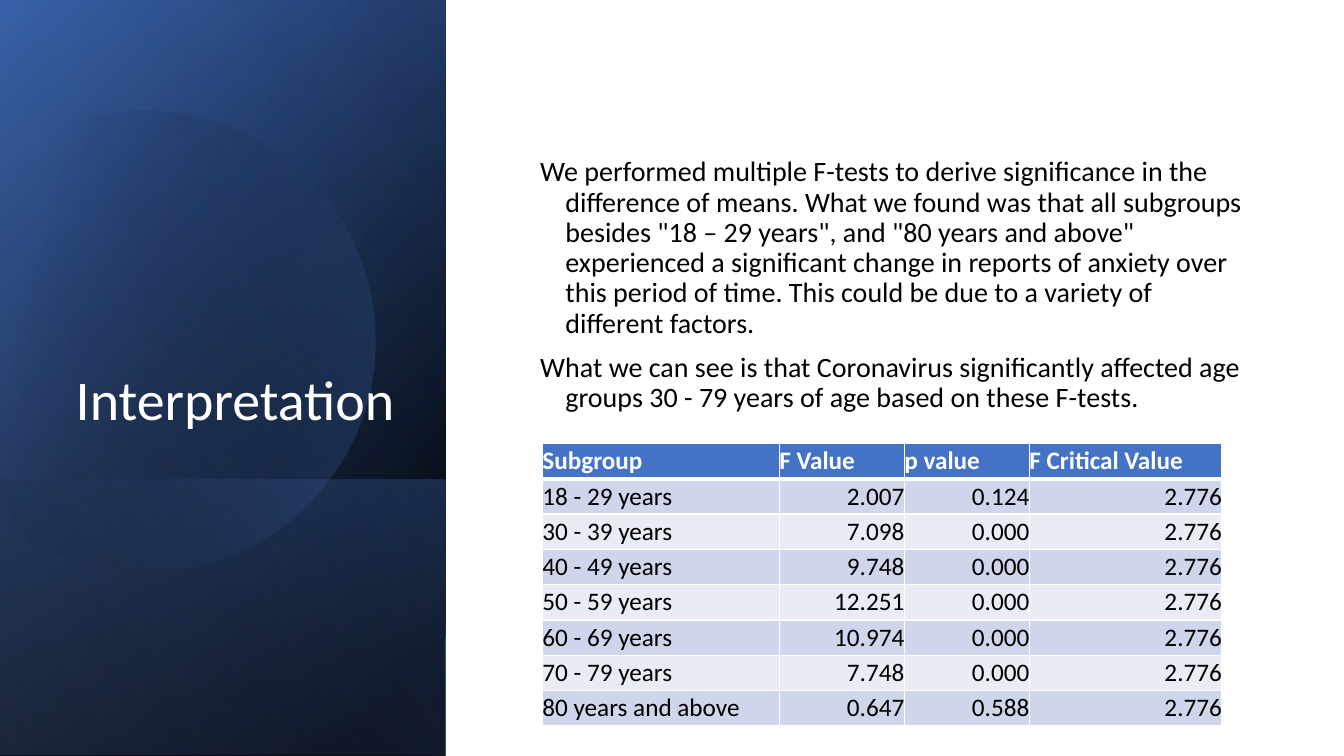
from dataclasses import dataclass
from math import cos, radians, sin

from lxml import etree
from pptx import Presentation
from pptx import util as u
from pptx.dml.color import RGBColor
from pptx.enum import shapes, text
from pptx.oxml.ns import qn

PX = 9144
FONT = "Calibri"
WHITE = RGBColor(0xFF, 0xFF, 0xFF)
BLACK = RGBColor(0, 0, 0)
DEEP_BLUE = RGBColor(0x2F, 0x55, 0x97)
BLUE = RGBColor(0x44, 0x72, 0xC4)
PALE_BLUE = RGBColor(0x8F, 0xAA, 0xDC)
BAND_DARK = RGBColor(0xCF, 0xD5, 0xEA)
BAND_LIGHT = RGBColor(0xE9, 0xEB, 0xF5)


@dataclass
class Stop:
    position: int
    color: RGBColor
    opacity: int = 100


@dataclass
class Gradient:
    start: Stop
    end: Stop
    angle: int


@dataclass
class Panel:
    left: int
    top: int
    width: int
    height: int
    gradient: Gradient


@dataclass
class Style:
    size: int
    color: RGBColor
    bold: bool = False


BACK_PANELS = [
    Panel(-154, 154, 750, 442, Gradient(Stop(8, BLACK), Stop(100, DEEP_BLUE), 50)),
    Panel(-154, 155, 750, 442, Gradient(Stop(0, BLACK, 0), Stop(99, BLUE, 46), 30)),
    Panel(84, 392, 274, 442, Gradient(Stop(2, BLUE, 29), Stop(100, BLACK, 30), 130)),
]
GLOW_PANEL = Panel(-154, 153, 750, 442,
                   Gradient(Stop(0, BLACK, 0), Stop(99, PALE_BLUE, 11), 120))

DISC_GRADIENT = Gradient(Stop(29, BLACK, 0), Stop(100, BLUE, 43), 30)
DISC_CENTER = (158, 334)
DISC_TURN = -16.1
DISC_START = (149, 110)
DISC_EDGES = [
    [(246, 112), (335, 177), (363, 275)],
    [(398, 397), (328, 523), (207, 558)],
    [(131, 580), (53, 561), (-3, 514)],
    [(-15, 503)],
    [(-15, 175)],
    [(0, 161)],
    [(23, 142), (50, 128), (80, 119)],
    [(103, 113), (126, 110), DISC_START],
]
CURVE_STEPS = 16

PARAGRAPHS = [
    "We performed multiple F-tests to derive significance in the difference of means. "
    "What we found was that all subgroups besides \"18 – 29 years\", and \"80 years and "
    "above\" experienced a significant change in reports of anxiety over this period of "
    "time. This could be due to a variety of different factors.",
    "What we can see is that Coronavirus significantly affected age groups 30 - 79 years "
    "of age based on these F-tests.",
]

COLUMN_WIDTHS = [235, 124, 124, 191]
ROW_HEIGHT = 35
ROWS = [
    ("Subgroup", "F Value", "p value", "F Critical Value"),
    ("18 - 29 years", "2.007", "0.124", "2.776"),
    ("30 - 39 years", "7.098", "0.000", "2.776"),
    ("40 - 49 years", "9.748", "0.000", "2.776"),
    ("50 - 59 years", "12.251", "0.000", "2.776"),
    ("60 - 69 years", "10.974", "0.000", "2.776"),
    ("70 - 79 years", "7.748", "0.000", "2.776"),
    ("80 years and above", "0.647", "0.588", "2.776"),
]


def px(*lengths: int) -> list[u.Emu]:
    return [u.Emu(length * PX) for length in lengths]


def paint_gradient(shape, gradient: Gradient) -> None:
    shape.shadow.inherit = False
    shape.line.fill.background()
    shape.fill.gradient()
    shape.fill.gradient_angle = 360 - gradient.angle
    stops = (gradient.start, gradient.end)
    for target, stop in zip(shape.fill.gradient_stops, stops):
        target.position = stop.position / 100
        target.color.rgb = stop.color
    colors = list(shape._element.spPr.iter(qn("a:srgbClr")))
    for color, stop in zip(colors, stops):
        if stop.opacity < 100:
            etree.SubElement(color, qn("a:alpha"), val=str(stop.opacity * 1000))


def add_panel(page, panel: Panel) -> None:
    shape = page.shapes.add_shape(
        shapes.MSO_SHAPE.RECTANGLE, *px(panel.left, panel.top, panel.width, panel.height))
    shape.rotation = 90
    shape._element.spPr.xfrm.set("flipH", "1")
    paint_gradient(shape, panel.gradient)


def disc_outline() -> list[tuple[float, float]]:
    points = [DISC_START]
    for edge in DISC_EDGES:
        if len(edge) == 1:
            points += edge
            continue
        controls = [points[-1], *edge]
        for step in range(1, CURVE_STEPS + 1):
            t = step / CURVE_STEPS
            weights = ((1 - t) ** 3, 3 * t * (1 - t) ** 2, 3 * t * t * (1 - t), t ** 3)
            points.append(tuple(
                sum(w * c[axis] for w, c in zip(weights, controls)) for axis in (0, 1)))
    return points


def add_disc(page) -> None:
    turn = radians(-DISC_TURN)
    center_x, center_y = DISC_CENTER
    upright = [
        (center_x + (x - center_x) * cos(turn) - (y - center_y) * sin(turn),
         center_y + (x - center_x) * sin(turn) + (y - center_y) * cos(turn))
        for x, y in disc_outline()]
    outline = [(round(x * PX), round(y * PX)) for x, y in upright]
    builder = page.shapes.build_freeform(*outline[0])
    builder.add_line_segments(outline[1:], close=True)
    disc = builder.convert_to_shape()
    disc.rotation = DISC_TURN
    paint_gradient(disc, DISC_GRADIENT)


def add_span(para, words: str, style: Style) -> None:
    span = para.add_run()
    span.text = words
    span.font.name = FONT
    span.font.size = u.Pt(style.size)
    span.font.bold = style.bold
    span.font.color.rgb = style.color


def add_text_frame(page, left: int, top: int, width: int, height: int, anchor):
    frame = page.shapes.add_textbox(*px(left, top, width, height)).text_frame
    frame.word_wrap = True
    frame.vertical_anchor = anchor
    return frame


def add_title(page) -> None:
    para = add_text_frame(page, 51, 64, 350, 370, text.MSO_ANCHOR.BOTTOM).paragraphs[0]
    para.alignment = text.PP_ALIGN.RIGHT
    para.line_spacing = 0.9
    add_span(para, "Interpretation", Style(40, WHITE))


def add_body(page) -> None:
    frame = add_text_frame(page, 526, 71, 717, 425, text.MSO_ANCHOR.MIDDLE)
    for index, words in enumerate(PARAGRAPHS):
        para = frame.add_paragraph() if index else frame.paragraphs[0]
        para.line_spacing = 0.9
        para.space_before = u.Pt(10)
        properties = para._p.get_or_add_pPr()
        properties.set("marL", str(25 * PX))
        properties.set("indent", str(-25 * PX))
        add_span(para, words, Style(20, BLACK))


def add_borders(cell, bottom: int) -> None:
    properties = cell._tc.get_or_add_tcPr()
    for side, width in (("L", 1), ("R", 1), ("T", 1), ("B", bottom)):
        line = etree.SubElement(properties, qn(f"a:ln{side}"), w=str(u.Pt(width)))
        fill = etree.SubElement(line, qn("a:solidFill"))
        etree.SubElement(fill, qn("a:srgbClr"), val=str(WHITE))


def add_results(page) -> None:
    table = page.shapes.add_table(
        len(ROWS), len(COLUMN_WIDTHS),
        *px(538, 440, sum(COLUMN_WIDTHS), ROW_HEIGHT * len(ROWS))).table
    for column, width in zip(table.columns, COLUMN_WIDTHS):
        column.width = u.Emu(width * PX)
    for r, row in enumerate(ROWS):
        table.rows[r].height = u.Emu(ROW_HEIGHT * PX)
        band = BLUE if r == 0 else BAND_DARK if r % 2 else BAND_LIGHT
        style = Style(18, BLACK) if r else Style(18, WHITE, True)
        for c, words in enumerate(row):
            cell = table.cell(r, c)
            cell.margin_left = cell.margin_right = cell.margin_top = cell.margin_bottom = 0
            cell.vertical_anchor = text.MSO_ANCHOR.MIDDLE
            add_borders(cell, 1 if r else 3)
            cell.fill.solid()
            cell.fill.fore_color.rgb = band
            para = cell.text_frame.paragraphs[0]
            para.alignment = text.PP_ALIGN.RIGHT if r and c else text.PP_ALIGN.LEFT
            add_span(para, words, style)


def main() -> None:
    deck = Presentation()
    deck.slide_width, deck.slide_height = px(1333, 750)
    page = deck.slides.add_slide(deck.slide_layouts[6])
    backdrop = page.shapes.add_shape(shapes.MSO_SHAPE.RECTANGLE, *px(0, 0, 1333, 750))
    backdrop.shadow.inherit = False
    backdrop.fill.solid()
    backdrop.fill.fore_color.rgb = WHITE
    backdrop.line.fill.background()
    for panel in BACK_PANELS:
        add_panel(page, panel)
    add_disc(page)
    add_panel(page, GLOW_PANEL)
    add_title(page)
    add_body(page)
    add_results(page)
    deck.save("out.pptx")


if __name__ == "__main__":
    main()
